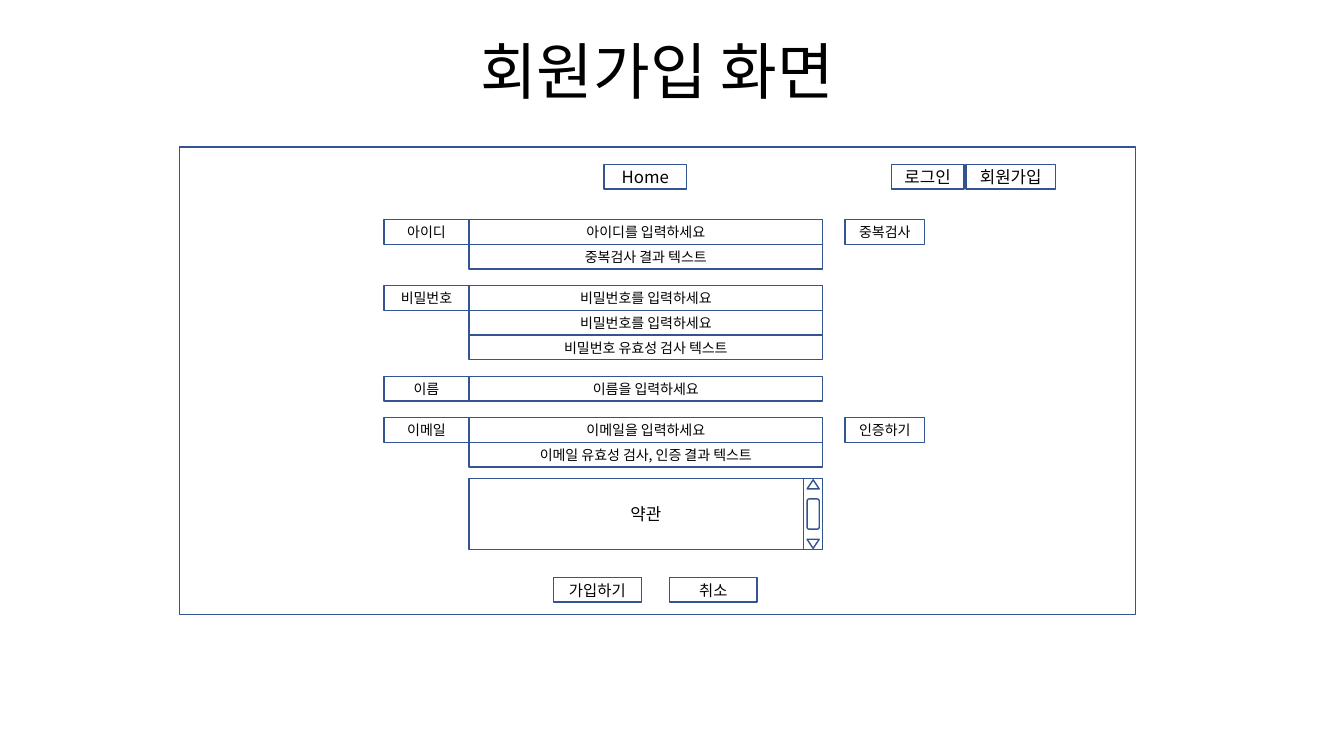
"""Build a wireframe slide of a sign-up screen."""
import pptx
import pptx.util
import pptx.dml.color
import pptx.enum.shapes
import pptx.enum.text
import pptx.oxml.ns
import lxml.etree

TITLE = "회원가입 화면"
FIELDS = [
    ("아이디", ["아이디를 입력하세요", "중복검사 결과 텍스트"], "중복검사"),
    ("비밀번호", ["비밀번호를 입력하세요", "비밀번호를 입력하세요", "비밀번호 유효성 검사 텍스트"], None),
    ("이름", ["이름을 입력하세요"], None),
    ("이메일", ["이메일을 입력하세요", "이메일 유효성 검사, 인증 결과 텍스트"], "인증하기"),
]
NAVIGATION = [("Home", 5.99, 0.82), ("로그인", 8.84, 0.72), ("회원가입", 9.58, 0.89)]
BUTTONS = ["가입하기", "취소"]
TERMS = "약관"

COLORS = {"line": "325491", "text": "000000"}
FONT = "Noto Sans CJK KR"
SHAPES = pptx.enum.shapes.MSO_SHAPE
ROW, FIELD_GAP = 0.245, 0.165
LABEL_LEFT, LABEL_WIDTH = 3.81, 0.84
INPUT_LEFT, INPUT_WIDTH = LABEL_LEFT + LABEL_WIDTH, 3.51
CHECK_LEFT, CHECK_WIDTH = 8.38, 0.79
NAVIGATION_TOP, FIELDS_TOP, TERMS_TOP, BUTTONS_TOP = 1.63, 2.18, 4.75, 5.73
TERMS_HEIGHT, BAR_WIDTH = 0.7, 0.19
ARROW_WIDTH, ARROW_HEIGHT, THUMB_HEIGHT = 0.12, 0.09, 0.3
BUTTON_LEFT, BUTTON_WIDTH, BUTTON_STEP = 5.49, 0.87, 1.15


def color(name):
    return pptx.dml.color.RGBColor.from_string(COLORS[name])


def write(frame, text, size):
    """Put one centred run into a text frame."""
    frame.vertical_anchor = pptx.enum.text.MSO_ANCHOR.MIDDLE
    para = frame.paragraphs[0]
    para.alignment = pptx.enum.text.PP_ALIGN.CENTER
    span = para.add_run()
    span.text = text
    span.font.size = pptx.util.Pt(size)
    span.font.color.rgb = color("text")
    span.font.name = FONT
    properties = span.font._element
    lxml.etree.SubElement(properties, pptx.oxml.ns.qn("a:ea"), typeface=FONT)
    return para


def add_box(parent, left, top, width, height, text="", size=10, kind=SHAPES.RECTANGLE):
    """Draw one outlined shape, with text if any."""
    box = parent.shapes.add_shape(kind, *map(pptx.util.Inches, (left, top, width, height)))
    box.shadow.inherit = False
    box.fill.background()
    box.line.color.rgb = color("line")
    box.line.width = pptx.util.Pt(1)
    if text:
        write(box.text_frame, text, size)
    return box


def add_fields(screen):
    """Stack the labelled input fields."""
    top = FIELDS_TOP
    for label, rows, check in FIELDS:
        add_box(screen, LABEL_LEFT, top, LABEL_WIDTH, ROW, label)
        for index, text in enumerate(rows):
            add_box(screen, INPUT_LEFT, top + index * ROW, INPUT_WIDTH, ROW, text)
        if check:
            add_box(screen, CHECK_LEFT, top, CHECK_WIDTH, ROW, check)
        top += len(rows) * ROW + FIELD_GAP


def add_terms(screen):
    """Draw the terms panel and its scroll bar."""
    add_box(screen, INPUT_LEFT, TERMS_TOP, INPUT_WIDTH, TERMS_HEIGHT, TERMS, 12)
    bar_left = INPUT_LEFT + INPUT_WIDTH - BAR_WIDTH
    add_box(screen, bar_left, TERMS_TOP, BAR_WIDTH, TERMS_HEIGHT)
    left = bar_left + (BAR_WIDTH - ARROW_WIDTH) / 2
    bottom = TERMS_TOP + TERMS_HEIGHT - 0.01 - ARROW_HEIGHT
    for top, rotation in ((TERMS_TOP + 0.01, 0), (bottom, 180)):
        arrow = add_box(screen, left, top, ARROW_WIDTH, ARROW_HEIGHT,
                        kind=SHAPES.ISOSCELES_TRIANGLE)
        arrow.rotation = rotation
    add_box(screen, left, TERMS_TOP + (TERMS_HEIGHT - THUMB_HEIGHT) / 2, ARROW_WIDTH,
            THUMB_HEIGHT, kind=SHAPES.ROUNDED_RECTANGLE)


deck = pptx.Presentation()
deck.slide_width, deck.slide_height = pptx.util.Inches(13.33), pptx.util.Inches(7.5)
page = deck.slides.add_slide(deck.slide_layouts[5])

title = page.shapes.title
title.left, title.top, title.width, title.height = map(pptx.util.Inches, (0.77, 0.01, 11.5, 1.45))
write(title.text_frame, TITLE, 44).line_spacing = 0.9

screen = page.shapes.add_group_shape()
add_box(screen, 1.78, 1.46, 9.48, 4.64)
for text, left, width in NAVIGATION:
    add_box(screen, left, NAVIGATION_TOP, width, ROW, text, 12)
add_fields(screen)
add_terms(screen)
for index, text in enumerate(BUTTONS):
    add_box(screen, BUTTON_LEFT + index * BUTTON_STEP, BUTTONS_TOP, BUTTON_WIDTH, ROW, text, 11)

deck.save("out.pptx")
